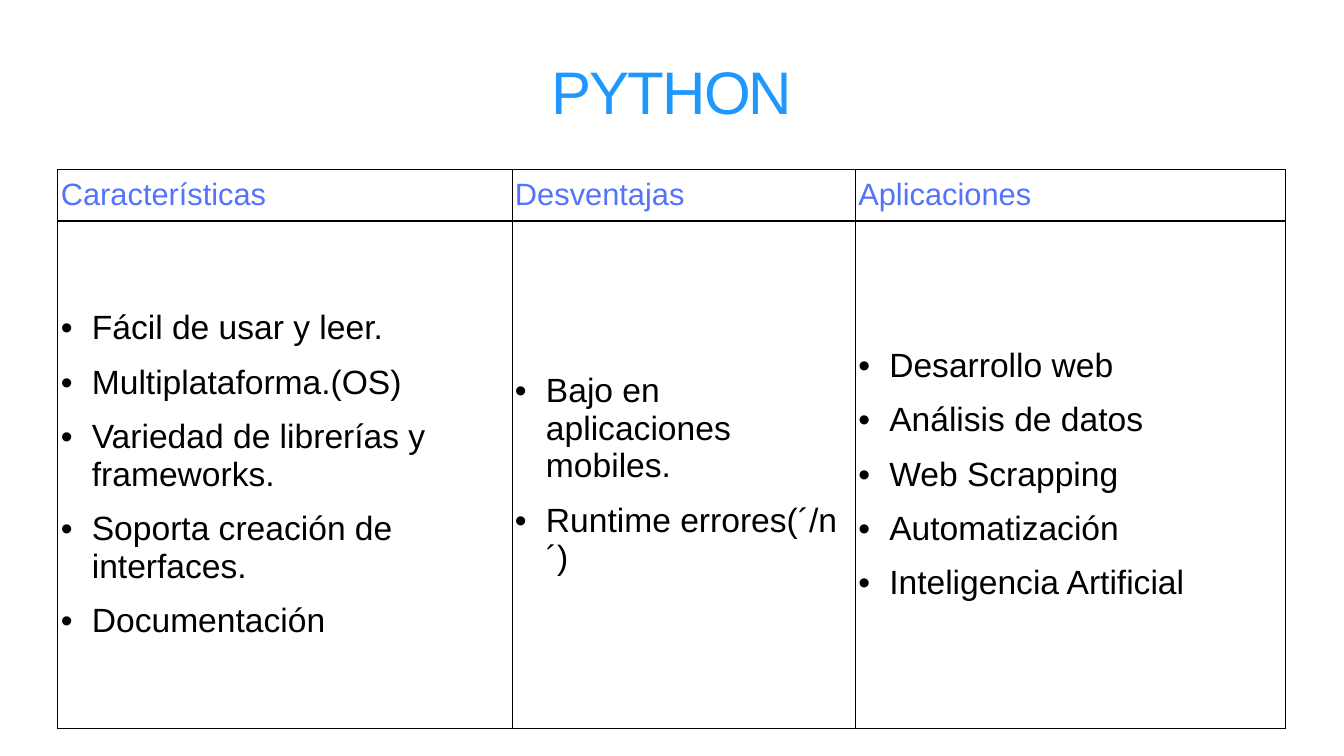
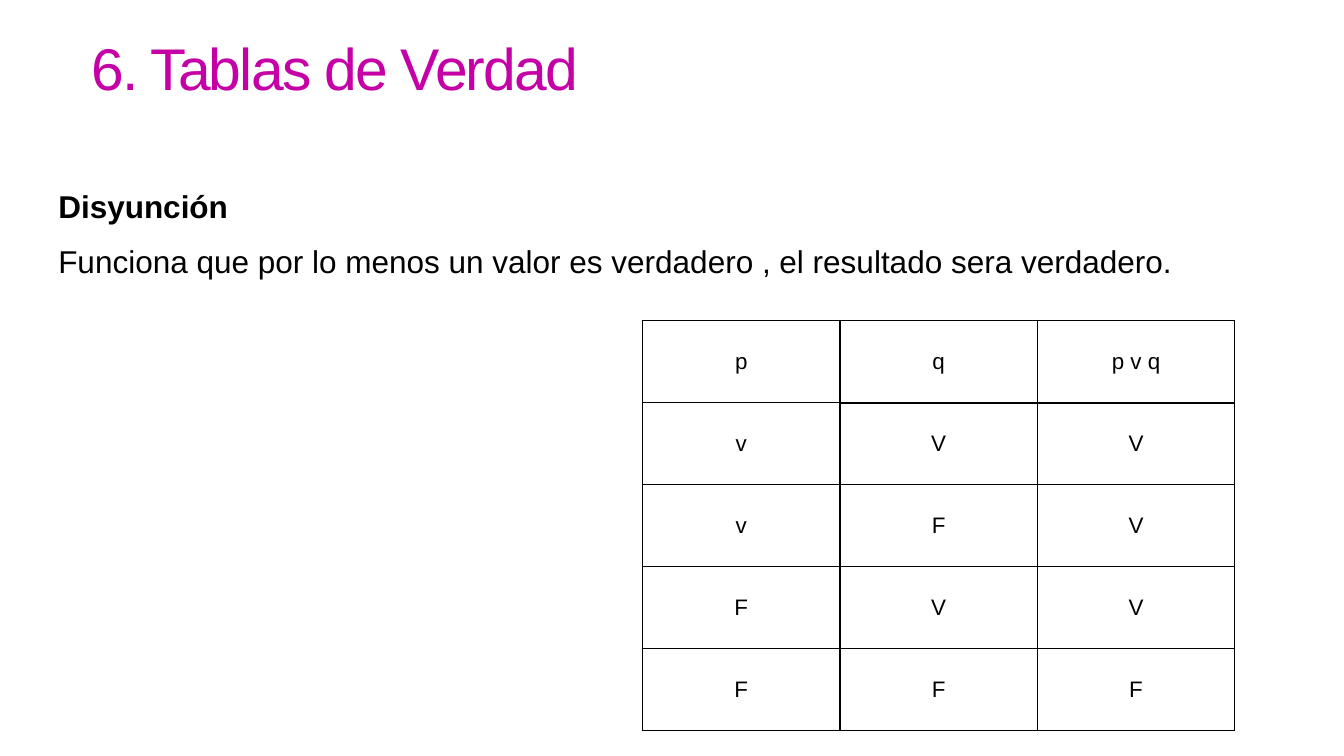
from lxml import etree
from pptx import Presentation, util as u
from pptx.dml.color import RGBColor
from pptx.enum import text as t
from pptx.oxml.ns import qn

PX = 9525  # EMU in one px
PAD = 6
INDENT = 59
GAP = 24  # points between paragraphs
FONT = "Arial"
BLACK = "000000"
BLUE = "5373FD"
LEFT, MID, JUST = t.PP_ALIGN.LEFT, t.PP_ALIGN.CENTER, t.PP_ALIGN.JUSTIFY
CENTER, BOTTOM = t.MSO_ANCHOR.MIDDLE, t.MSO_ANCHOR.BOTTOM


def px(n):
    return u.Emu(n * PX)


def rgb(code):
    return RGBColor.from_string(code)


def assign(item, values):
    for name, value in values.items():
        setattr(item, name, value)


def solid(parent, tag, color):
    box = etree.SubElement(parent, qn(tag))
    etree.SubElement(box, qn("a:srgbClr"), val=color)


class Deck:
    """Holds the shared style and the current slide."""

    pads = {f"margin_{s}": px(PAD) for s in ("left", "top", "right", "bottom")}

    def __init__(self, wide, high):
        self.prs = Presentation()
        assign(self.prs, {"slide_width": px(wide), "slide_height": px(high)})
        self.slide = None

    def page(self):
        self.slide = self.prs.slides.add_slide(self.prs.slide_layouts[6])

    # Text
    def lines(self, frame, words, size, color=BLACK, align=LEFT, space=1.0,
              bullet=False, bold=()):
        for i, line in enumerate(words):
            para = frame.paragraphs[0] if i == 0 else frame.add_paragraph()
            if bullet:
                self.bullet(para)
            assign(para, {"alignment": align, "line_spacing": space,
                          "space_before": u.Pt(GAP if i else 0)})
            run = para.add_run()
            run.text = line
            assign(run.font, {"name": FONT, "size": u.Pt(size), "bold": i in bold})
            run.font.color.rgb = rgb(color)

    def bullet(self, para):
        props = para._p.get_or_add_pPr()
        for name, value in {"marL": INDENT, "indent": -INDENT}.items():
            props.set(name, str(px(value)))
        solid(props, "a:buClr", BLACK)
        etree.SubElement(props, qn("a:buFont"), typeface=FONT)
        etree.SubElement(props, qn("a:buChar"), char="•")

    def text(self, box, words, size, anchor=CENTER, **style):
        frame = self.slide.shapes.add_textbox(*map(px, box)).text_frame
        assign(frame, {"word_wrap": True, "vertical_anchor": anchor, **self.pads})
        self.lines(frame, words, size, **style)
        return frame

    def title(self, box, words, size, colors, track, **style):
        frame = self.text(box, [words], size, BOTTOM, **style)
        run = frame.paragraphs[0].runs[0]
        fill = run.font.fill
        fill.gradient()
        fill.gradient_angle = 294
        for stop, color, place in zip(fill.gradient_stops, colors, (0, 1)):
            stop.color.rgb = rgb(color)
            stop.position = place
        run.font._element.set("spc", str(track))

    # Tables
    def table(self, left, top, cols, rows, data, styles, start=0, stub=False):
        """Heavy rule under the head from column start, and beside a stub column."""
        area = (left, top, sum(cols), sum(rows))
        grid = self.slide.shapes.add_table(len(rows), len(cols), *map(px, area)).table
        assign(grid, {"first_row": False, "horz_banding": False})
        for col, wide in zip(grid.columns, cols):
            col.width = px(wide)
        for row, high in zip(grid.rows, rows):
            row.height = px(high)
        for r, line in enumerate(data):
            for c, words in enumerate(line):
                cell = grid.cell(r, c)
                assign(cell, {"vertical_anchor": CENTER, **self.pads})
                self.lines(cell.text_frame, words, **styles[min(r, 1)])
                head = c >= start
                self.edges(cell, {"L": stub and c == 1, "R": stub and c == 0,
                                  "T": head and r == 1, "B": head and r == 0})

    def edges(self, cell, heavy):
        cell.fill.background()
        props = cell._tc.get_or_add_tcPr()
        for i, (side, thick) in enumerate(heavy.items()):
            line = etree.Element(qn(f"a:ln{side}"), w=str(u.Pt(3 if thick else 1)))
            solid(line, "a:solidFill", BLACK)
            props.insert(i, line)


# Slide 1: Python overview
def python(deck):
    deck.page()
    deck.title((133, 85, 2293, 163), "PYTHON", 85.8, ("1E98FD", "FF00F7"), -260,
               align=MID, space=0.9)
    topics = {
        "Características": ["Fácil de usar y leer.", "Multiplataforma.(OS)",
                            "Variedad de librerías y frameworks.",
                            "Soporta creación de interfaces.", "Documentación"],
        "Desventajas": ["Bajo en aplicaciones mobiles.", "Runtime errores(´/n´)"],
        "Aplicaciones": ["Desarrollo web", "Análisis de datos", "Web Scrapping",
                         "Automatización", "Inteligencia Artificial"],
    }
    deck.table(110, 323, (865, 654, 820), (98, 966),
               [[[name] for name in topics], list(topics.values())],
               ({"size": 44, "color": BLUE}, {"size": 48, "bullet": True}))


# Slide 2: truth table
def truth(deck):
    deck.page()
    deck.title((168, 37, 2223, 163), "6. Tablas de Verdad", 84, ("C400A6", "842B17"),
               -250, align=JUST, space=1.2)
    deck.text((105, 343, 2432, 202),
              ["Disyunción", "Funciona que por lo menos un valor es verdadero , "
               "el resultado sera verdadero."], 45, bold=(0,))
    values = [("p", "q", "p v q"), "vVV", "vFV", "FVV", "FFF"]
    style = {"size": 32, "align": MID}
    deck.table(1224, 611, [376] * 3, [156] * 5,
               [[[mark] for mark in row] for row in values],
               (style, style), start=1, stub=True)


def main():
    deck = Deck(2560, 1440)
    python(deck)
    truth(deck)
    deck.prs.save("out.pptx")


if __name__ == "__main__":
    main()
